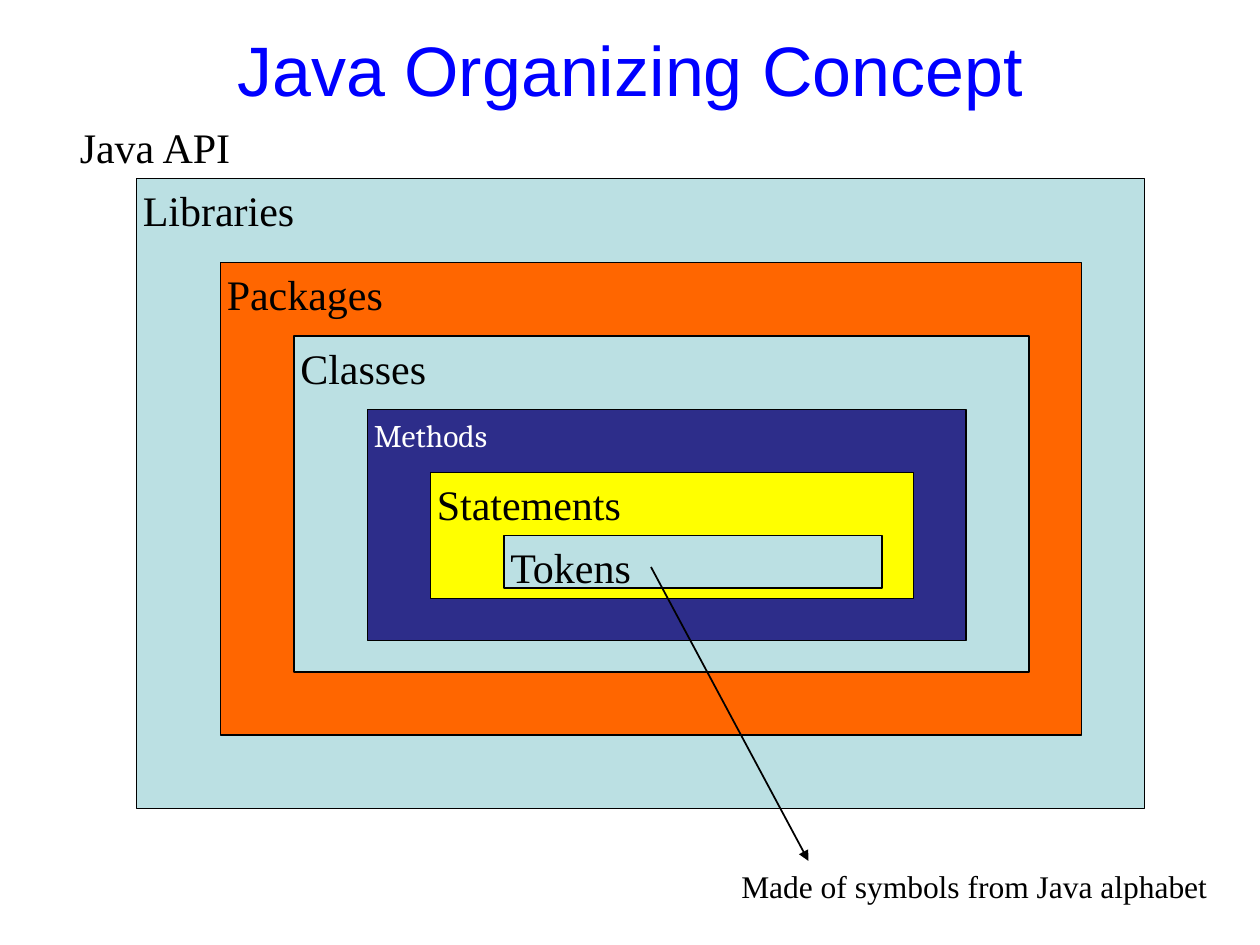
from lxml import etree
from pptx import Presentation
from pptx.dml.color import RGBColor
from pptx.enum import shapes, text
from pptx.oxml import ns
from pptx.util import Pt

COLORS = {
    "black": "000000",
    "white": "FFFFFF",
    "title": "0000FF",
    "pale": "BBE0E3",
    "orange": "FF6600",
    "navy": "2D2D8A",
    "yellow": "FFFF00",
}
SERIF = "Times New Roman"
INSET = 3.6

# Outermost first: label, left, top, width, height, fill, and font settings
LEVELS = [
    ("Libraries", 78, 102, 576, 360, "pale", {}),
    ("Packages", 126, 150, 492, 270, "orange", {}),
    ("Classes", 168, 192, 420, 192, "pale", {}),
    ("Methods", 210, 234, 342, 132, "navy",
     {"size": 18, "font": "Cambria", "color": "white"}),
    ("Statements", 246, 270, 276, 72, "yellow", {}),
    ("Tokens", 288, 306, 216, 30, "pale", {}),
]


def rgb(name):
    return RGBColor.from_string(COLORS[name])


def add_label(parent, wording, left, top, width, height, size=24, font=SERIF,
              color="black", wrap=True):
    box = parent.add_textbox(Pt(left), Pt(top), Pt(width), Pt(height))
    frame = box.text_frame
    frame.text = wording
    frame.word_wrap = wrap
    frame.margin_left = frame.margin_right = Pt(INSET)
    frame.margin_top = frame.margin_bottom = Pt(INSET)
    run_font = frame.paragraphs[0].runs[0].font
    run_font.size = Pt(size)
    run_font.name = font
    run_font.color.rgb = rgb(color)
    return frame


def add_title(slide, wording):
    frame = add_label(slide.shapes, wording, 54, 0, 612, 78,
                      size=40, font="Arial", color="title")
    frame.vertical_anchor = text.MSO_ANCHOR.MIDDLE
    frame.paragraphs[0].alignment = text.PP_ALIGN.CENTER


def add_level(slide, label, left, top, width, height, fill, style):
    group = slide.shapes.add_group_shape()
    shape = group.shapes.add_shape(shapes.MSO_SHAPE.RECTANGLE, Pt(left), Pt(top),
                                   Pt(width), Pt(height))
    shape.shadow.inherit = False
    shape.fill.solid()
    shape.fill.fore_color.rgb = rgb(fill)
    shape.line.color.rgb = rgb("black")
    shape.line.width = Pt(1)
    label_height = 30 if style else 33
    add_label(group.shapes, label, left, top, width, label_height, **style)


def add_arrow(parent, start, end):
    arrow = parent.add_connector(shapes.MSO_CONNECTOR.STRAIGHT,
                                 *map(Pt, start), *map(Pt, end))
    arrow.line.color.rgb = rgb("black")
    arrow.line.width = Pt(1)
    line = arrow.line._get_or_add_ln()
    etree.SubElement(line, ns.qn("a:tailEnd"), type="triangle")
    etree.SubElement(arrow._element.spPr, ns.qn("a:effectLst"))


def main():
    presentation = Presentation()
    presentation.slide_width = Pt(720)
    presentation.slide_height = Pt(540)
    slide = presentation.slides.add_slide(presentation.slide_layouts[6])

    add_title(slide, "Java Organizing Concept")

    # Nested levels of a program
    for level in LEVELS:
        add_level(slide, *level)
    add_label(slide.shapes, "Java API", 42, 66, 94, 33, wrap=False)

    # Note on the innermost level
    note = slide.shapes.add_group_shape()
    add_label(note.shapes, "Made of symbols from Java alphabet",
              420, 492, 274, 27, size=18, wrap=False)
    add_arrow(note.shapes, (372, 324), (462, 492))

    presentation.save("out.pptx")


if __name__ == "__main__":
    main()
